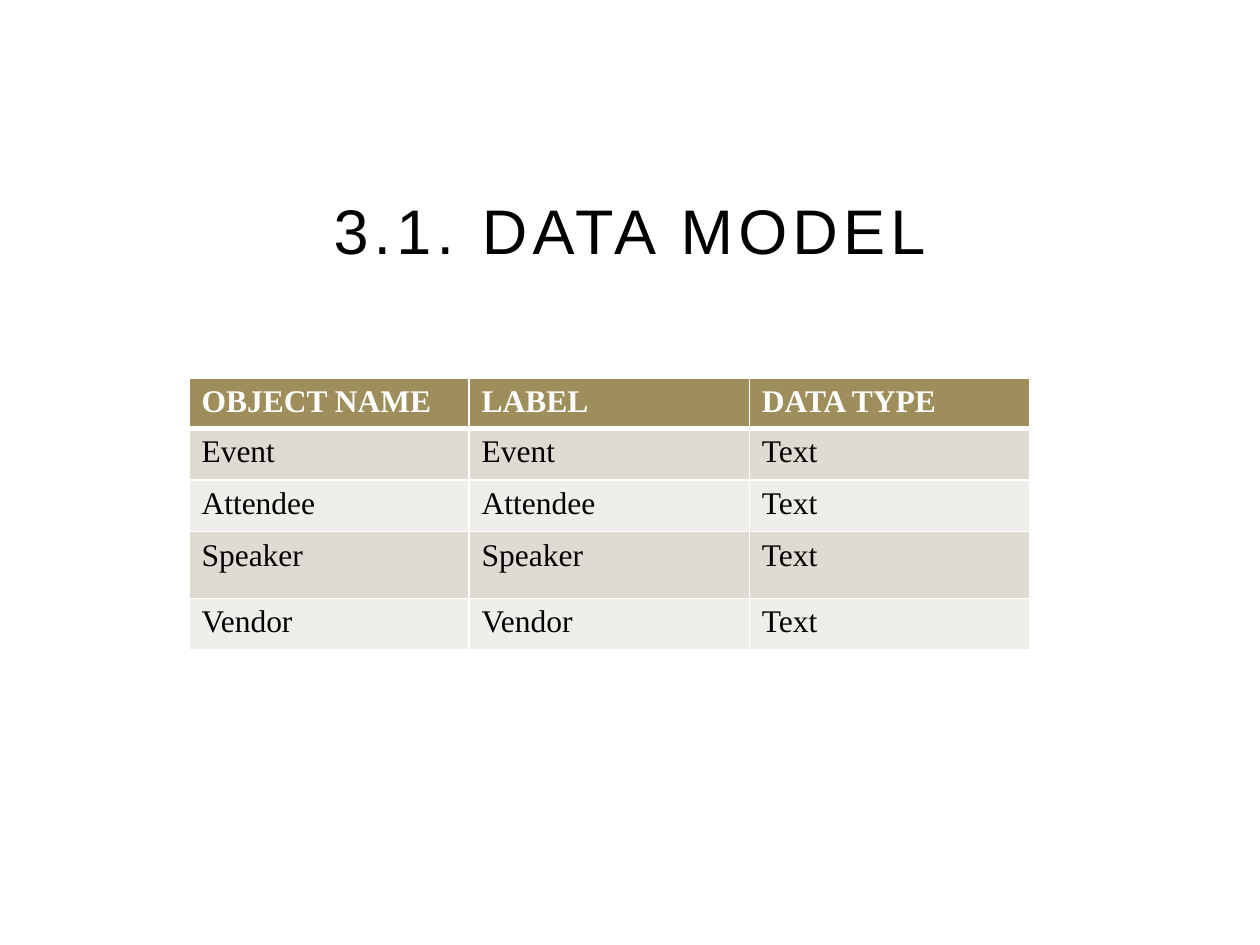
from lxml.etree import SubElement
from pptx import Presentation
from pptx.dml.color import RGBColor
from pptx.enum.text import MSO_ANCHOR, MSO_AUTO_SIZE, PP_ALIGN
from pptx.oxml.ns import qn
from pptx.util import Inches, Pt

TITLE = "3.1. DATA MODEL"
HEADINGS = ["OBJECT NAME", "LABEL", "DATA TYPE"]
OBJECTS = ["Event", "Attendee", "Speaker", "Vendor"]
ROWS = [HEADINGS] + [[name, name, "Text"] for name in OBJECTS]
ROW_HEIGHTS = [0.4, 0.41, 0.41, 0.53, 0.41]
TABLE_WIDTH = 6.67
HEADER_FILL = "9E8E5C"
BAND_FILLS = ["F0EEEA", "DFDBD2"]


def color(value):
    return RGBColor.from_string(value)


def write(frame, text, size=18, font="Times New Roman", fill="000000",
          bold=False, align=PP_ALIGN.LEFT, spacing=0):
    para = frame.paragraphs[0]
    para.alignment = align
    span = para.add_run()
    span.text = text
    span.font.size = Pt(size)
    span.font.name = font
    span.font.bold = bold
    span.font.color.rgb = color(fill)
    if spacing:
        span.font._element.set("spc", str(spacing * 100))


def set_borders(cell, **widths):
    properties = cell._tc.get_or_add_tcPr()
    for position, side in enumerate("LRTB"):
        line = properties.makeelement(qn(f"a:ln{side}"), {"w": str(Pt(widths.get(side, 1)))})
        fill = SubElement(line, qn("a:solidFill"))
        SubElement(fill, qn("a:srgbClr"), val="FFFFFF")
        properties.insert(position, line)


def add_title(page):
    title = page.shapes.title
    title.left, title.top = Inches(1.5), Inches(1.42)
    title.width, title.height = Inches(7), Inches(0.75)
    frame = title.text_frame
    frame.auto_size = MSO_AUTO_SIZE.NONE
    frame.word_wrap = True
    frame.vertical_anchor = MSO_ANCHOR.BOTTOM
    write(frame, TITLE, size=36, font="Arial", align=PP_ALIGN.CENTER, spacing=3)


def add_data_table(page):
    table = page.shapes.add_table(
        len(ROWS), len(HEADINGS), Inches(1.5), Inches(3),
        Inches(TABLE_WIDTH), Inches(sum(ROW_HEIGHTS))).table
    for column in table.columns:
        column.width = Inches(TABLE_WIDTH / len(HEADINGS))
    for index, (texts, height) in enumerate(zip(ROWS, ROW_HEIGHTS)):
        table.rows[index].height = Inches(height)
        header = index == 0
        for column, text in enumerate(texts):
            cell = table.cell(index, column)
            cell.fill.solid()
            cell.fill.fore_color.rgb = color(HEADER_FILL if header else BAND_FILLS[index % 2])
            set_borders(cell, T=3 if index == 1 else 1, B=3 if header else 1)
            write(cell.text_frame, text, bold=header, fill="FFFFFF" if header else "000000")


def main():
    """Build the data model slide."""
    deck = Presentation()
    deck.slide_width, deck.slide_height = Inches(10), Inches(7.5)
    page = deck.slides.add_slide(deck.slide_layouts[5])
    add_title(page)
    add_data_table(page)
    deck.save("out.pptx")


if __name__ == "__main__":
    main()
